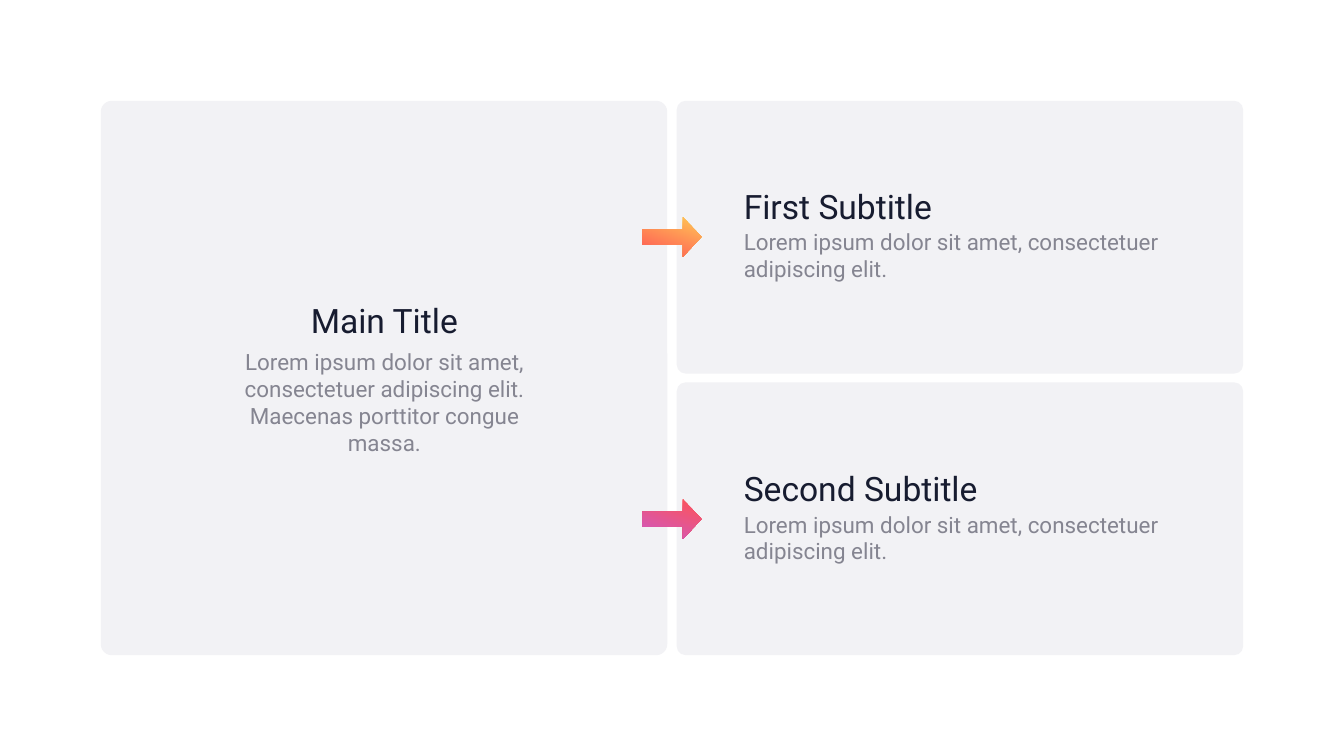
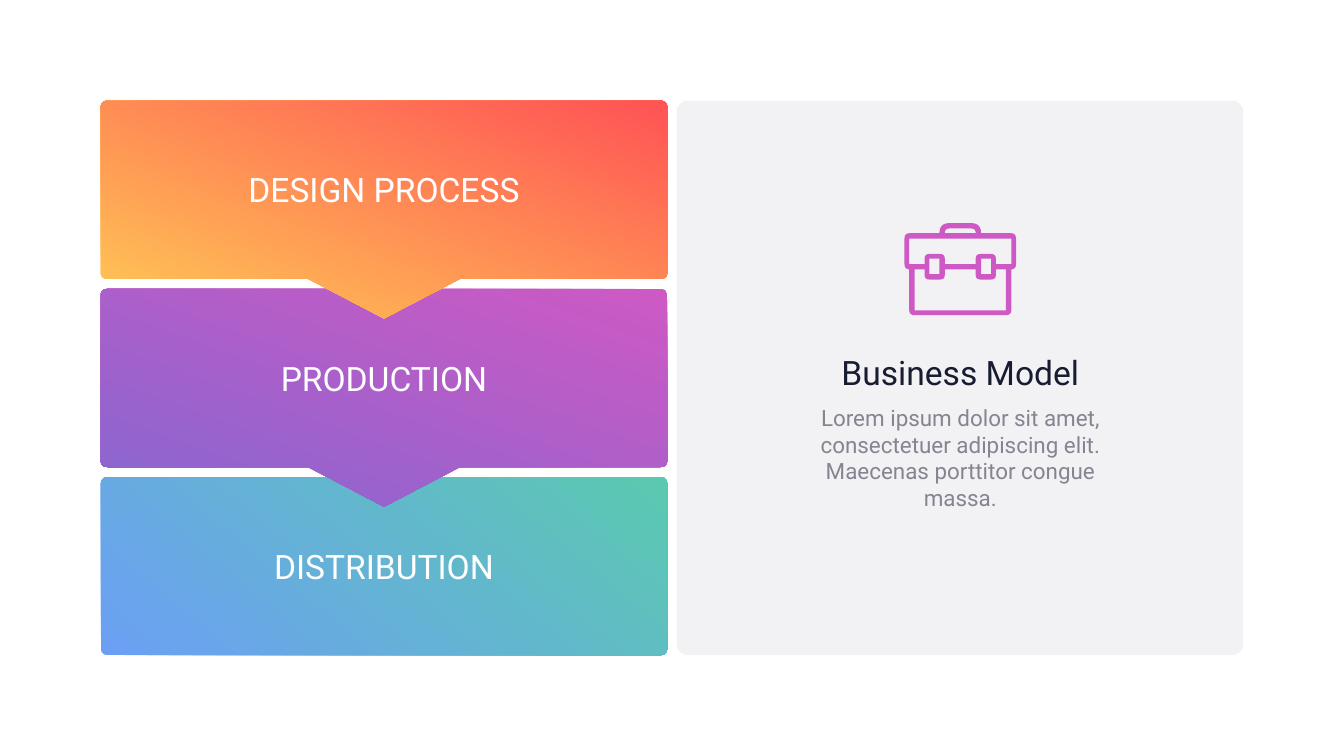
"""Build two infographic slides: a branching title and a three-step process."""
from pptx import Presentation
from pptx.dml.color import RGBColor
from pptx.enum.shapes import MSO_SHAPE as Shape
from pptx.enum.text import MSO_ANCHOR as Anchor, PP_ALIGN as Align
from pptx.util import Inches, Pt

FONT = "Roboto"
INK, GREY, WHITE, PANEL = "171C30", "858591", "FFFFFF", "F2F2F5"
YELLOW, RED, PINK, PURPLE = "FFC955", "FF5355", "CE59C4", "8766D0"
BLUE, GREEN = "6C9FF4", "5BC9B0"
LEFT, RIGHT, TOP, WIDTH, HEIGHT = 1.5, 10.07, 1.5, 8.43, 8.25
SHORT = "Lorem ipsum dolor sit amet, consectetuer adipiscing elit."
LONG = SHORT + " Maecenas porttitor congue massa."


def paint(shape, *colours, angle=0):
    """Fill a shape with one colour, or with a gradient turned clockwise by angle."""
    shape.shadow.inherit = False
    shape.line.fill.background()
    if len(colours) == 1:
        shape.fill.solid()
        shape.fill.fore_color.rgb = RGBColor.from_string(colours[0])
        return
    shape.fill.gradient()
    shape.fill.gradient_angle = 360 - angle
    for stop, colour in zip(shape.fill.gradient_stops, colours):
        stop.color.rgb = RGBColor.from_string(colour)


def add_outline(page, contours):
    """Add a freeform of closed contours whose corners are (x, y, radius)."""
    builder = None
    for corners in contours:
        points = []
        for index, (x, y, radius) in enumerate(corners):
            ends = []
            for near_x, near_y, _ in (corners[index - 1], corners[(index + 1) % len(corners)]):
                share = radius / max(abs(near_x - x), abs(near_y - y))
                ends.append((x + (near_x - x) * share, y + (near_y - y) * share))
            (ax, ay), (bx, by) = ends
            for t in [step / 6 for step in range(7)] if radius else [0]:
                points.append((
                    Inches((1 - t) ** 2 * ax + 2 * t * (1 - t) * x + t * t * bx),
                    Inches((1 - t) ** 2 * ay + 2 * t * (1 - t) * y + t * t * by)))
        if builder is None:
            builder = page.shapes.build_freeform(*points[0])
        else:
            builder.move_to(*points[0])
        builder.add_line_segments(points[1:], close=True)
    return builder.convert_to_shape()


deck = Presentation()
deck.slide_width, deck.slide_height = Inches(20), Inches(11.25)
branches, process = [deck.slides.add_slide(deck.slide_layouts[5]) for _ in range(2)]

half = 4.06
second_row = TOP + HEIGHT - half
panels = [
    (branches, LEFT, TOP, HEIGHT),
    (branches, RIGHT, second_row, half),
    (branches, RIGHT, TOP, half),
    (process, RIGHT, TOP, HEIGHT),
]
for page, left, top, height in panels:
    panel = page.shapes.add_shape(
        Shape.ROUNDED_RECTANGLE, Inches(left), Inches(top), Inches(WIDTH), Inches(height))
    panel.adjustments[0] = 0.02 if height == HEIGHT else 0.033
    paint(panel, PANEL)

for top, colours in ((7.43, (RED, PINK)), (3.23, (YELLOW, RED))):
    arrow = branches.shapes.add_shape(
        Shape.RIGHT_ARROW, Inches(9.56), Inches(top), Inches(0.88), Inches(0.59))
    arrow.adjustments[0], arrow.adjustments[1] = 0.378, 0.471
    paint(arrow, *colours, angle=110)

step_height, step_pitch = 2.65, 2.8
last_step = process.shapes.add_shape(
    Shape.ROUNDED_RECTANGLE, Inches(LEFT), Inches(TOP + 2 * step_pitch),
    Inches(WIDTH), Inches(step_height))
last_step.adjustments[0] = 0.036
paint(last_step, BLUE, GREEN, angle=310)

center = LEFT + WIDTH / 2
for row, colours, angle in ((1, (PINK, PURPLE), 110), (0, (YELLOW, RED), 290)):
    top = TOP + row * step_pitch
    bottom = top + step_height
    step = add_outline(process, [[
        (LEFT, top, 0.1), (LEFT + WIDTH, top, 0.1), (LEFT + WIDTH, bottom, 0.1),
        (center + 1.13, bottom, 0), (center, bottom + 0.59, 0), (center - 1.13, bottom, 0),
        (LEFT, bottom, 0.1)]])
    paint(step, *colours, angle=angle)

axis = 14.29
case_halves = [
    [(13.98, 3.32, 0.15), (13.98, 3.47, 0), (13.46, 3.47, 0.08), (13.46, 4.01, 0.08),
     (13.53, 4.01, 0), (13.53, 4.69, 0.08)],
    [(14.06, 3.4, 0.07), (14.06, 3.47, 0)],
    [(13.53, 3.55, 0), (13.53, 3.93, 0), (13.76, 3.93, 0), (13.76, 3.78, 0.07),
     (14.06, 3.78, 0.07), (14.06, 3.93, 0)],
    [(14.06, 4.01, 0), (14.06, 4.16, 0.07), (13.76, 4.16, 0.07), (13.76, 4.01, 0),
     (13.61, 4.01, 0), (13.61, 4.62, 0)],
]
case = [side + [(2 * axis - x, y, radius) for x, y, radius in reversed(side)]
        for side in case_halves]
for x in (13.83, 14.6):
    case.append([(x, 3.85, 0), (x + 0.15, 3.85, 0), (x + 0.15, 4.08, 0), (x, 4.08, 0)])
paint(add_outline(process, case), PINK)

texts = [
    (branches, "First Subtitle", 10.97, 2.71, 6.64, 0.71, 36, INK, Align.LEFT),
    (branches, SHORT, 10.97, 3.35, 6.64, 0.91, 24, GREY, Align.LEFT),
    (branches, "Second Subtitle", 10.97, 6.91, 6.64, 0.71, 36, INK, Align.LEFT),
    (branches, SHORT, 10.97, 7.55, 6.64, 0.91, 24, GREY, Align.LEFT),
    (branches, "Main Title", 3.43, 4.41, 4.58, 0.71, 36, INK, Align.CENTER),
    (branches, LONG, 3.43, 5.13, 4.58, 1.72, 24, GREY, Align.CENTER),
    (process, "Business Model", 12, 5.18, 4.58, 0.71, 36, INK, Align.CENTER),
    (process, LONG, 12, 5.96, 4.58, 1.72, 24, GREY, Align.CENTER),
]
for row, label in enumerate(("DESIGN PROCESS", "PRODUCTION", "DISTRIBUTION")):
    texts.append((process, label, 2.58, 2.47 + row * step_pitch, 6.27, 0.71, 36, WHITE, Align.CENTER))

for page, text, left, top, width, height, size, colour, align in texts:
    if text in ("Main Title", "Business Model"):
        box = page.shapes.title
        page.shapes.element.append(box.element)
    else:
        box = page.shapes.add_textbox(0, 0, 0, 0)
    box.left, box.top, box.width, box.height = map(Inches, (left, top, width, height))
    frame = box.text_frame
    frame.text = text
    frame.word_wrap = True
    frame.vertical_anchor = Anchor.TOP
    para = frame.paragraphs[0]
    para.alignment = align
    para.font.name, para.font.size = FONT, Pt(size)
    para.font.color.rgb = RGBColor.from_string(colour)

deck.save("out.pptx")
